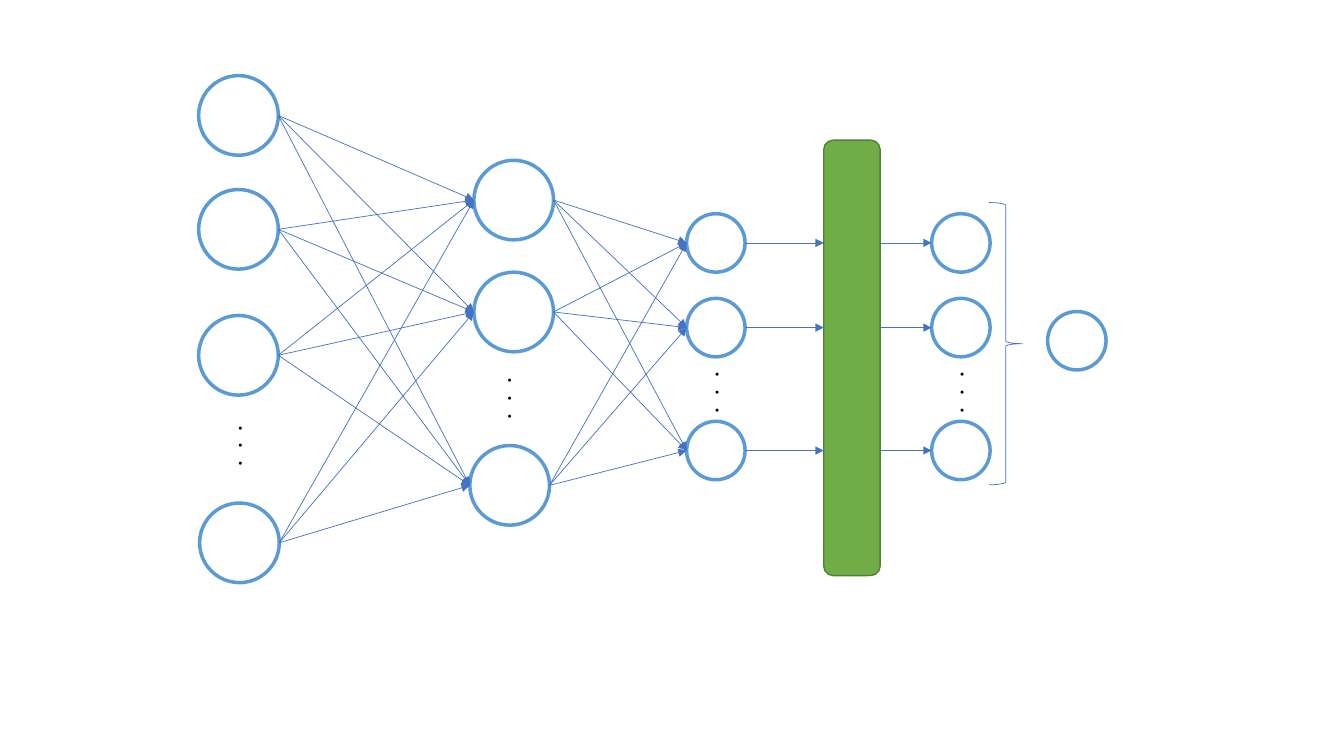
from itertools import product

from lxml import etree
from pptx import Presentation
from pptx.dml.color import RGBColor
from pptx.enum.shapes import MSO_CONNECTOR as Connector, MSO_SHAPE as Shape
from pptx.enum.text import MSO_AUTO_SIZE as AutoSize
from pptx.oxml.ns import qn
from pptx.util import Inches, Pt

NODE_BLUE = "5B9BD5"
ARROW_BLUE = "4472C4"
LARGE, SMALL = 0.79, 0.58


def color(hex_string):
    return RGBColor.from_string(hex_string)


def add_outline(slide, kind, left, top, width, height, line, weight, fill=None):
    shape = slide.shapes.add_shape(
        kind, Inches(left), Inches(top), Inches(width), Inches(height))
    shape.shadow.inherit = False
    if fill:
        shape.fill.solid()
        shape.fill.fore_color.rgb = color(fill)
    else:
        shape.fill.background()
    shape.line.color.rgb = color(line)
    shape.line.width = Pt(weight)
    return shape


def add_arrow(slide, start, end):
    arrow = slide.shapes.add_connector(
        Connector.STRAIGHT, *(Inches(value) for value in (*start, *end)))
    arrow.line.color.rgb = color(ARROW_BLUE)
    arrow.line.width = Pt(0.5)
    etree.SubElement(arrow.line._get_or_add_ln(), qn("a:tailEnd"), type="triangle")
    etree.SubElement(arrow._element.spPr, qn("a:effectLst"))


def add_text(slide, text, left, top, width, height, *, size=18, font="Calibri",
             hex_color="000000", rotation=0):
    box = slide.shapes.add_textbox(
        Inches(left), Inches(top), Inches(width), Inches(height))
    box.rotation = rotation
    frame = box.text_frame
    frame.word_wrap = False
    frame.auto_size = AutoSize.SHAPE_TO_FIT_TEXT
    run = frame.paragraphs[0].add_run()
    run.text = text
    run.font.size = Pt(size)
    run.font.name = font
    run.font.color.rgb = color(hex_color)


def add_layer(slide, corners, diameter, dots):
    """Draw a column of nodes with its ellipsis; return (left, right, middle) of each."""
    nodes = []
    for left, top in corners:
        add_outline(slide, Shape.OVAL, left, top, diameter, diameter, NODE_BLUE, 2.5)
        nodes.append((left, left + diameter, top + diameter / 2))
    add_text(slide, ".  .  .", *dots, 0.62, 0.4, rotation=90)
    return nodes


def connect_layers(slide, sources, targets):
    """Draw an arrow from every source node to every target node."""
    for (_, right, start_y), (left, _, end_y) in product(sources, targets):
        add_arrow(slide, (right, start_y), (left, end_y))


def add_bar(slide, left, top, width, height, inputs, outputs):
    """Draw the green bar with one arrow in and one arrow out per row."""
    add_outline(slide, Shape.ROUNDED_RECTANGLE, left, top, width, height,
                "538035", 1, fill="70AD47")
    for (_, input_right, y), (output_left, _, _) in zip(inputs, outputs):
        add_arrow(slide, (input_right, y), (left, y))
        add_arrow(slide, (left + width, y), (output_left, y))


def add_result(slide, left, top, height):
    """Draw the brace that gathers the outputs, and the final node."""
    add_outline(slide, Shape.RIGHT_BRACE, left, top, 0.33, height, ARROW_BLUE, 0.5)
    add_outline(slide, Shape.OVAL, left + 0.58, top + 1.08, SMALL, SMALL,
                NODE_BLUE, 2.5)


def add_network(slide):
    rows = (2.12, 2.96, 4.18)
    inputs = add_layer(
        slide, [(1.97, 0.75), (1.97, 1.88), (1.97, 3.13), (1.98, 4.99)],
        LARGE, (2.16, 4.23))
    hidden = add_layer(
        slide, [(4.7, 1.59), (4.7, 2.7), (4.66, 4.42)], LARGE, (4.83, 3.76))
    scores, outputs = (
        add_layer(slide, [(left, top) for top in rows], SMALL, (left + 0.08, 3.7))
        for left in (6.81, 9.24))
    connect_layers(slide, inputs, hidden)
    connect_layers(slide, hidden, scores)
    add_bar(slide, 8.17, 1.39, 0.56, 4.32, scores, outputs)
    add_result(slide, 9.81, 2.01, 2.8)


def main():
    presentation = Presentation()
    presentation.slide_width = Inches(13.33)
    presentation.slide_height = Inches(7.5)
    slide = presentation.slides.add_slide(presentation.slide_layouts[6])
    add_network(slide)
    presentation.save("out.pptx")


if __name__ == "__main__":
    main()
